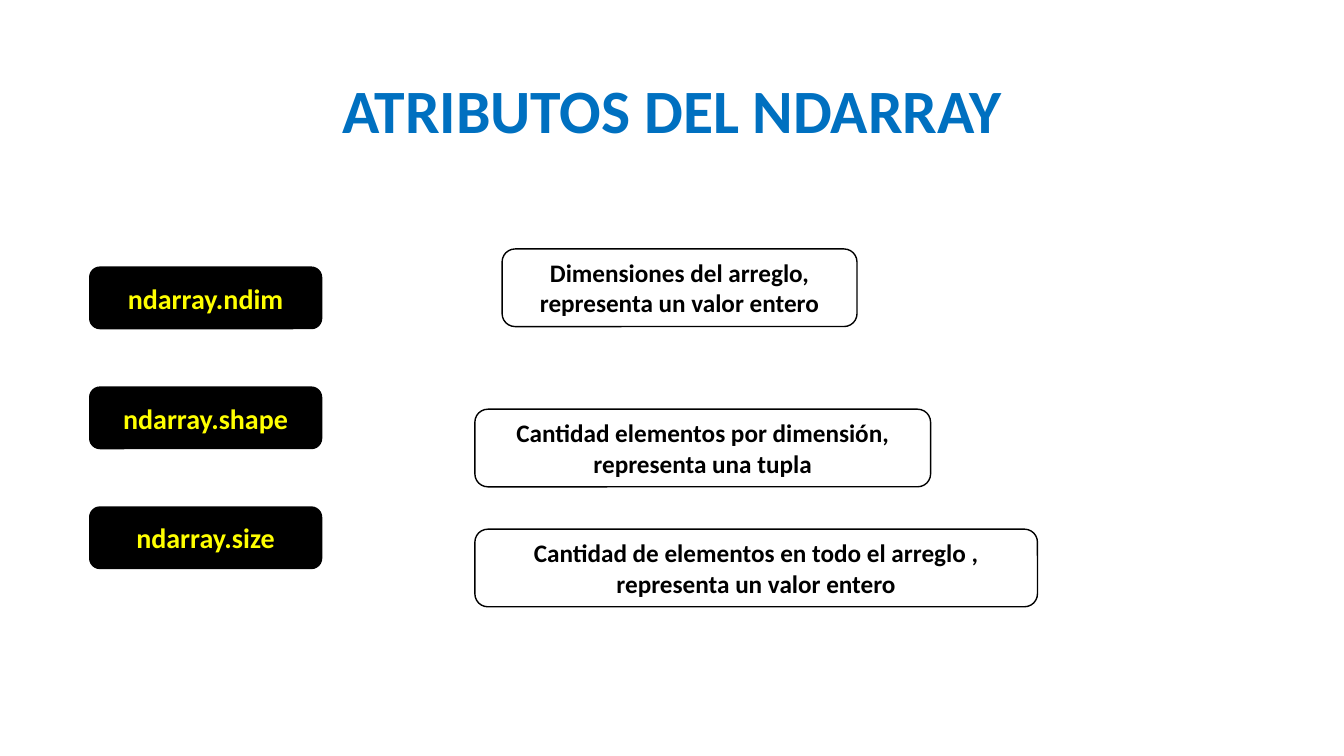
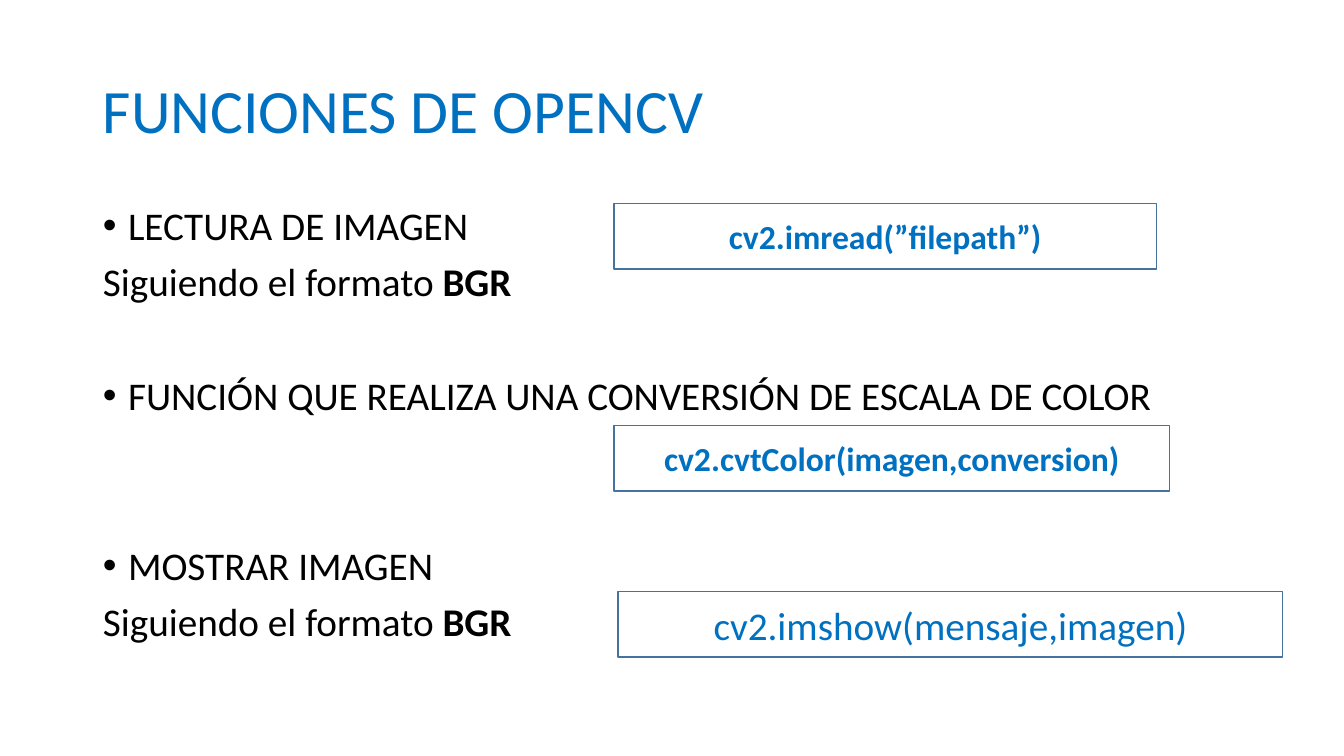
from lxml.etree import SubElement
from pptx import Presentation
from pptx.dml.color import RGBColor
from pptx.enum.shapes import MSO_SHAPE
from pptx.enum.text import MSO_ANCHOR, MSO_AUTO_SIZE, PP_ALIGN
from pptx.oxml.ns import qn
from pptx.util import Inches, Pt

FONT = "Calibri"
BLUE, BLACK, WHITE, YELLOW, STEEL = "0070C0", "000000", "FFFFFF", "FFFF00", "43739E"
TITLE_BOX = (0.92, 0.4, 11.5, 1.45)
BODY_BOX = (0.92, 2, 11.5, 4.76)
LINE_PITCH = 40.6  # points from one body line to the next


def rgb(color):
    return RGBColor.from_string(color)


def place(sp, box):
    sp.left, sp.top, sp.width, sp.height = map(Inches, box)


def add_text(p, text, size=18, color=BLACK, bold=False, align=None):
    r = p.add_run()
    r.text = text
    r.font.name, r.font.size, r.font.bold = FONT, Pt(size), bold
    r.font.color.rgb = rgb(color)
    if align is not None:
        p.alignment = align


def add_slide(prs, layout, title, **fmt):
    s = prs.slides.add_slide(prs.slide_layouts[layout])
    place(s.shapes.title, TITLE_BOX)
    tf = s.shapes.title.text_frame
    tf.vertical_anchor = MSO_ANCHOR.MIDDLE
    tf.auto_size = MSO_AUTO_SIZE.NONE
    tf.paragraphs[0].line_spacing = 0.9
    add_text(tf.paragraphs[0], title, size=44, color=BLUE, **fmt)
    return s


def add_box(s, kind, box, text, fill=None, line=BLACK, **fmt):
    sp = s.shapes.add_shape(kind, *map(Inches, box))
    sp.shadow.inherit = False
    if fill:
        sp.fill.solid()
        sp.fill.fore_color.rgb = rgb(fill)
    else:
        sp.fill.background()
    sp.line.color.rgb = rgb(line)
    sp.line.width = Pt(1)
    tf = sp.text_frame
    tf.word_wrap = True
    tf.vertical_anchor = MSO_ANCHOR.MIDDLE
    add_text(tf.paragraphs[0], text, align=PP_ALIGN.CENTER, **fmt)


def set_bullet(p, shown):
    pPr = p._p.get_or_add_pPr()
    indent = Inches(0.25) if shown else 0
    pPr.set("marL", str(indent))
    pPr.set("indent", str(-indent))
    if shown:
        SubElement(pPr, qn("a:buFont")).set("typeface", "Arial")
        SubElement(pPr, qn("a:buChar")).set("char", "•")
    else:
        SubElement(pPr, qn("a:buNone"))


def fill_body(sp, box, items):
    """Each item: bullet shown, lines of space above, text, bold ending."""
    place(sp, box)
    tf = sp.text_frame
    tf.auto_size = MSO_AUTO_SIZE.NONE
    for i, (bullet, skipped, text, ending) in enumerate(items):
        p = tf.add_paragraph() if i else tf.paragraphs[0]
        p.line_spacing = 0.9
        p.space_before = Pt(10 + skipped * LINE_PITCH)
        set_bullet(p, bullet)
        add_text(p, text, size=28)
        if ending:
            add_text(p, ending, size=28, bold=True)


def attributes_slide(prs):
    s = add_slide(prs, 5, "ATRIBUTOS DEL NDARRAY", bold=True, align=PP_ALIGN.CENTER)
    # Attribute name, then left, top and width of its description
    rows = [
        ("ndarray.ndim", 4.98, 2.47, 3.52,
         "Dimensiones del arreglo, representa un valor entero"),
        ("ndarray.shape", 4.71, 4.06, 4.52,
         "Cantidad elementos por dimensión, representa una tupla"),
        ("ndarray.size", 4.71, 5.25, 5.58,
         "Cantidad de elementos en todo el arreglo , representa un valor entero"),
    ]
    for i, (name, left, top, width, description) in enumerate(rows):
        add_box(s, MSO_SHAPE.ROUNDED_RECTANGLE, (0.89, 2.65 + 1.19 * i, 2.3, 0.61),
                name, fill=BLACK, size=20, color=YELLOW, bold=True)
        add_box(s, MSO_SHAPE.ROUNDED_RECTANGLE, (left, top, width, 0.77),
                description, bold=True)


def functions_slide(prs):
    s = add_slide(prs, 1, "FUNCIONES DE OPENCV", align=PP_ALIGN.LEFT)
    # Topics
    fill_body(s.placeholders[1], BODY_BOX, [
        (True, 0, "LECTURA DE IMAGEN", ""),
        (False, 0, "Siguiendo el formato ", "BGR"),
        (True, 1, "FUNCIÓN QUE REALIZA UNA CONVERSIÓN DE ESCALA DE COLOR", ""),
        (True, 2, "MOSTRAR IMAGEN", ""),
        (False, 0, "Siguiendo el formato ", "BGR"),
    ])
    # Calls
    for left, top, width, code, size, bold in [
        (6.09, 2.02, 5.38, "cv2.imread(”filepath”)", 24, True),
        (6.09, 4.22, 5.51, "cv2.cvtColor(imagen,conversion)", 24, True),
        (6.13, 5.87, 6.59, "cv2.imshow(mensaje,imagen)", 28, False),
    ]:
        add_box(s, MSO_SHAPE.RECTANGLE, (left, top, width, 0.65), code,
                fill=WHITE, line=STEEL, size=size, color=BLUE, bold=bold)


def main():
    prs = Presentation()
    prs.slide_width, prs.slide_height = Inches(13.33), Inches(7.5)
    attributes_slide(prs)
    functions_slide(prs)
    prs.save("out.pptx")


if __name__ == "__main__":
    main()
